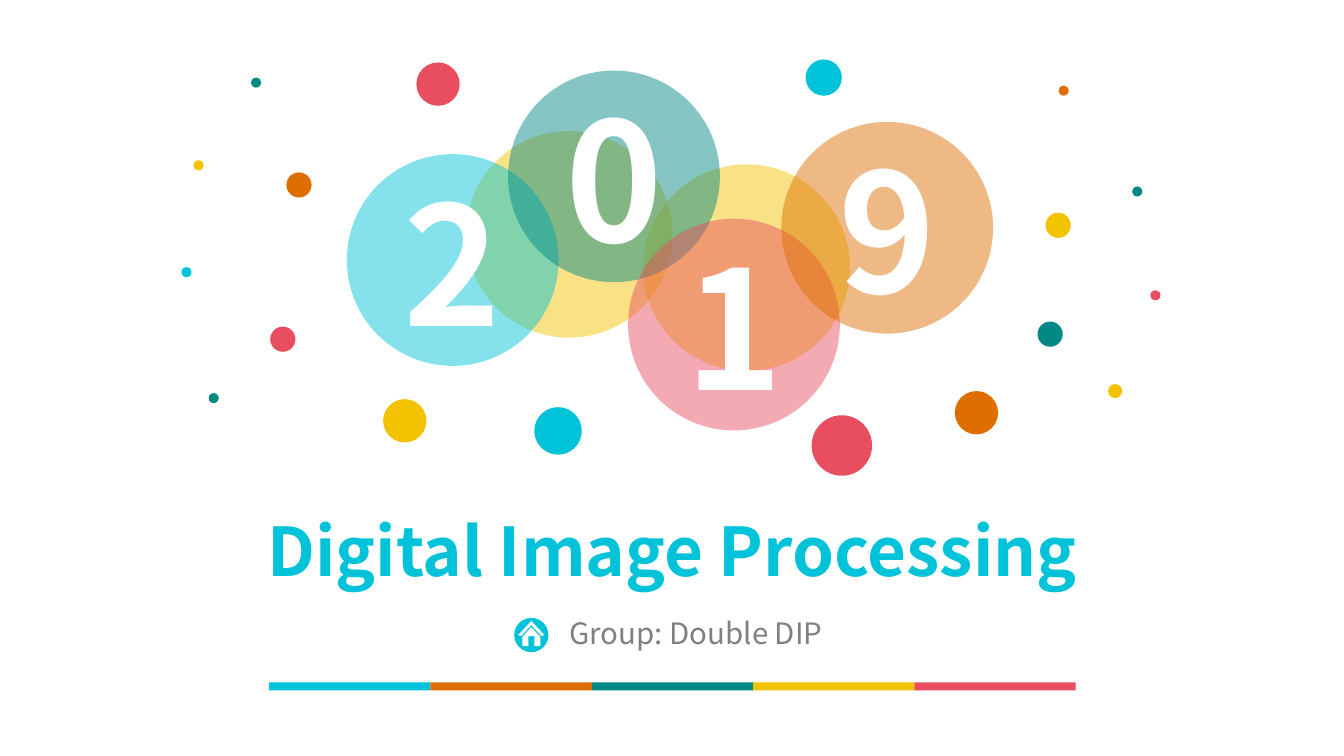
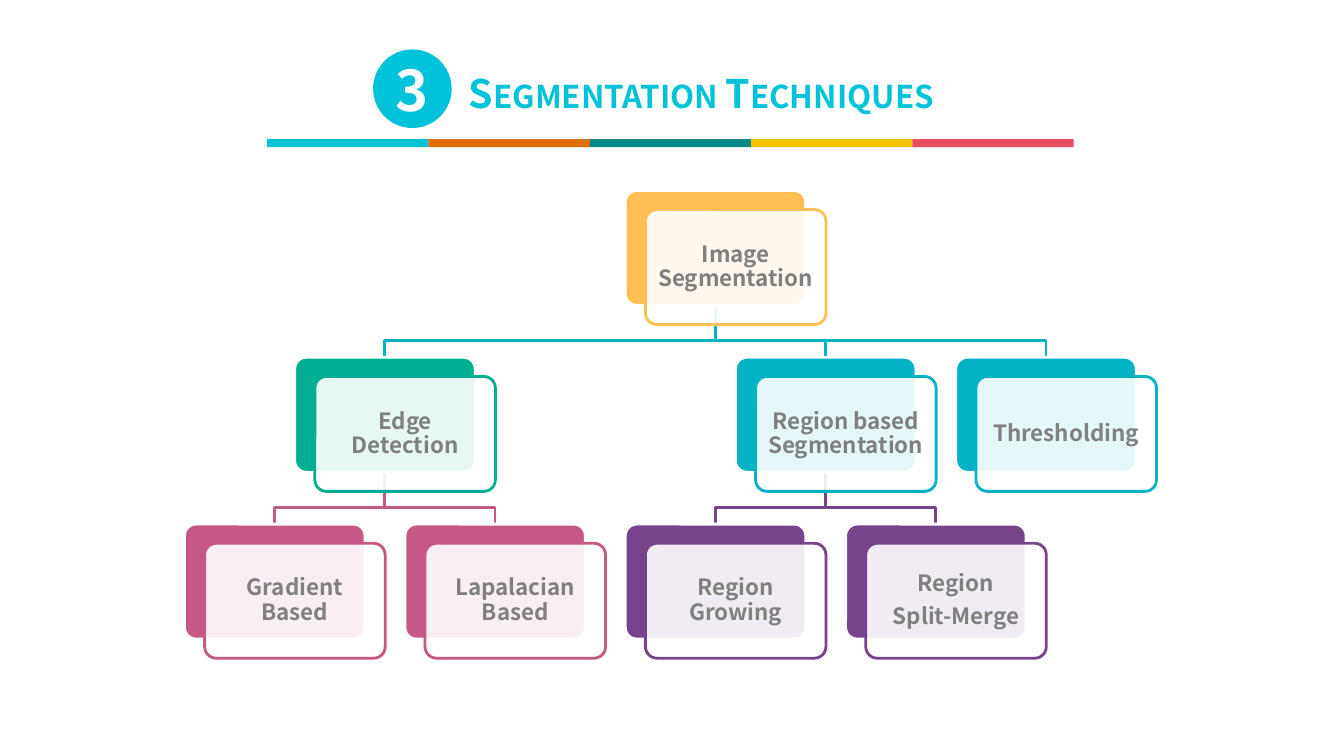
from lxml import etree
from pptx import Presentation
from pptx import util as u
from pptx.dml.color import RGBColor
from pptx.enum import shapes, text
from pptx.oxml.ns import qn

FONT = "Noto Sans CJK SC"
COLORS = {
    "cyan": "00C3D9", "orange": "DE6E00", "teal": "028985", "yellow": "F3C301", "red": "E94E60",
    "grey": "808080", "white": "FFFFFF",
    "amber": "FFBF53", "green": "00AF92", "blue": "01B3C5", "pink": "C65885", "purple": "77448C",
}
BAND = ["cyan", "orange", "teal", "yellow", "red"]
OVAL = shapes.MSO_SHAPE.OVAL
LEFT, CENTER = text.PP_ALIGN.LEFT, text.PP_ALIGN.CENTER


def add_figure(slide, kind, box, fill, opacity=100, line=None):
    """Add a preset shape, or an outline when kind is a list of points; box and points in inches."""
    if isinstance(kind, list):
        points = [(u.Inches(x), u.Inches(y)) for x, y in kind]
        builder = slide.shapes.build_freeform(*points[0], scale=1.0)
        builder.add_line_segments(points[1:], close=fill is not None)
        figure = builder.convert_to_shape()
    else:
        figure = slide.shapes.add_shape(kind, *map(u.Inches, box))
    figure.shadow.inherit = False
    if fill:
        figure.fill.solid()
        figure.fill.fore_color.rgb = RGBColor.from_string(COLORS[fill])
    else:
        figure.fill.background()
    if opacity < 100:
        color = figure.fill._xPr.find(qn("a:solidFill"))[0]
        etree.SubElement(color, qn("a:alpha"), val=str(opacity * 1000))
    if line:
        figure.line.color.rgb = RGBColor.from_string(COLORS[line])
        figure.line.width = u.Pt(2)
    else:
        figure.line.fill.background()
    return figure


def write(holder, lines, size, color, bold=True, align=CENTER, margin=0.0):
    """Fill a shape, text box or placeholder with one paragraph per line."""
    frame = holder.text_frame
    frame.word_wrap = True
    frame.auto_size = text.MSO_AUTO_SIZE.NONE
    frame.vertical_anchor = text.MSO_ANCHOR.MIDDLE
    frame.margin_left = frame.margin_right = u.Inches(margin)
    frame.margin_top = frame.margin_bottom = u.Inches(min(margin, 0.05))
    for i, line in enumerate(lines):
        paragraph = frame.add_paragraph() if i else frame.paragraphs[0]
        paragraph.alignment = align
        run = paragraph.add_run()
        run.text = line
        run.font.name, run.font.size, run.font.bold = FONT, u.Pt(size), bold
        run.font.color.rgb = RGBColor.from_string(COLORS[color])
    return frame


deck = Presentation()
deck.slide_width, deck.slide_height = u.Inches(13.33), u.Inches(7.5)

# Titles and colour bands
pages = []
for heading, box, size, align, band_left, band_top in [
    ("Digital Image Processing", (0, 5.08, 13.33, 0.74), 48, CENTER, 2.67, 6.77),
    ("Segmentation Techniques", (4.57, 0.64, 5.06, 0.54), 28, LEFT, 2.65, 1.38),
]:
    page = deck.slides.add_slide(deck.slide_layouts[5])
    title = page.shapes.title
    title.left, title.top, title.width, title.height = map(u.Inches, box)
    write(title, [heading], size, "cyan", align=align, margin=0.08)
    for i, color in enumerate(BAND):
        add_figure(page, shapes.MSO_SHAPE.RECTANGLE, (band_left + 1.6 * i, band_top, 1.6, 0.08), color)
    pages.append(page)
cover, techniques = pages

# Cover: year in overlapping bubbles
for left, top in [(4.62, 1.3), (6.38, 1.63)]:
    add_figure(cover, OVAL, (left, top, 2.05, 2.05), "yellow", 48)
for digit, left, top, color in [
    ("2", 3.44, 1.53, "cyan"), ("0", 5.04, 0.7, "teal"),
    ("1", 6.23, 2.17, "red"), ("9", 7.75, 1.21, "orange"),
]:
    bubble = add_figure(cover, OVAL, (left, top, 2.1, 2.1), color, 48)
    write(bubble, [digit], 118, "white")

# Cover: confetti as left, top, diameter
confetti = {
    "cyan": [(7.99, 0.59, 0.36), (5.3, 4.04, 0.47), (1.8, 2.65, 0.1)],
    "orange": [(2.84, 1.71, 0.25), (10.5, 0.85, 0.1), (9.47, 3.88, 0.43)],
    "teal": [(2.49, 0.77, 0.1), (2.07, 3.9, 0.1), (11.23, 1.85, 0.1), (10.29, 3.19, 0.25)],
    "yellow": [(1.92, 1.59, 0.1), (3.8, 3.96, 0.43), (10.37, 2.11, 0.25), (10.99, 3.81, 0.14)],
    "red": [(8.05, 4.12, 0.6), (4.13, 0.62, 0.43), (2.68, 3.24, 0.25), (11.41, 2.88, 0.1)],
}
for color, dots in confetti.items():
    for left, top, diameter in dots:
        add_figure(cover, OVAL, (left, top, diameter, diameter), color)

# Cover: group name with house icon
add_figure(cover, OVAL, (5.1, 6.13, 0.34, 0.34), "cyan")
roof = [(5.14, 6.3), (5.27, 6.16), (5.4, 6.3), (5.37, 6.31), (5.27, 6.2), (5.17, 6.31)]
walls = [(5.18, 6.32), (5.27, 6.22), (5.36, 6.32), (5.36, 6.41), (5.3, 6.41),
         (5.3, 6.31), (5.24, 6.31), (5.24, 6.41), (5.18, 6.41)]
for outline in (roof, walls):
    add_figure(cover, outline, None, "white")
group_name = cover.shapes.add_textbox(*map(u.Inches, (5.58, 6.14, 4.01, 0.28)))
write(group_name, ["Group: Double DIP"], 21, "grey", bold=False, align=LEFT, margin=0.07)

# Techniques: section number and small-caps title
techniques.shapes.title.text_frame.vertical_anchor = text.MSO_ANCHOR.TOP
techniques.shapes.title.text_frame.paragraphs[0].runs[0].font._element.set("cap", "small")
section = add_figure(techniques, OVAL, (3.7, 0.49, 0.78, 0.78), "cyan")
write(section, ["3"], 40, "white")

# Techniques: tree, each node as column, level, colour, text lines
CARD_W, CARD_H = 1.79, 1.14
COLUMN_STEP, LEVEL_STEP = (9.48 - 1.83) / 7, (5.2 - 1.89) / 2
nodes = {
    "root": (4, 0, "amber", ["Image Segmentation"]),
    "edge": (1, 1, "green", ["Edge Detection"]),
    "gradient": (0, 2, "pink", ["Gradient Based"]),
    "laplacian": (2, 2, "pink", ["Lapalacian Based"]),
    "region": (5, 1, "blue", ["Region based Segmentation"]),
    "growing": (4, 2, "purple", ["Region Growing"]),
    "split": (6, 2, "purple", ["Region", "Split-Merge"]),
    "threshold": (7, 1, "blue", ["Thresholding"]),
}
branches = [
    ("root", "blue", ["threshold", "region", "edge"]),
    ("region", "purple", ["split", "growing"]),
    ("edge", "pink", ["laplacian", "gradient"]),
]
corners = {name: (1.83 + COLUMN_STEP * column, 1.89 + LEVEL_STEP * level)
           for name, (column, level, _, _) in nodes.items()}

for parent, color, children in branches:
    start_x, start_y = corners[parent][0] + CARD_W / 2, corners[parent][1] + CARD_H
    for child in children:
        end_x, end_y = corners[child][0] + CARD_W / 2, corners[child][1]
        bend_y = start_y + 0.35
        elbow = [(start_x, start_y), (start_x, bend_y), (end_x, bend_y), (end_x, end_y)]
        add_figure(techniques, elbow, None, None, line=color)

for name, (_, _, color, lines) in nodes.items():
    left, top = corners[name]
    back = add_figure(techniques, shapes.MSO_SHAPE.ROUNDED_RECTANGLE,
                      (left, top, CARD_W, CARD_H), color, line="white")
    front = add_figure(techniques, shapes.MSO_SHAPE.ROUNDED_RECTANGLE,
                       (left + 0.2, top + 0.19, CARD_W, CARD_H), "white", 90, color)
    back.adjustments[0] = front.adjustments[0] = 0.1
    for paragraph in write(front, lines, 16, "grey", margin=0.07).paragraphs:
        paragraph.line_spacing = 0.9
        paragraph.space_after = u.Pt(5.6)

deck.save("out.pptx")
